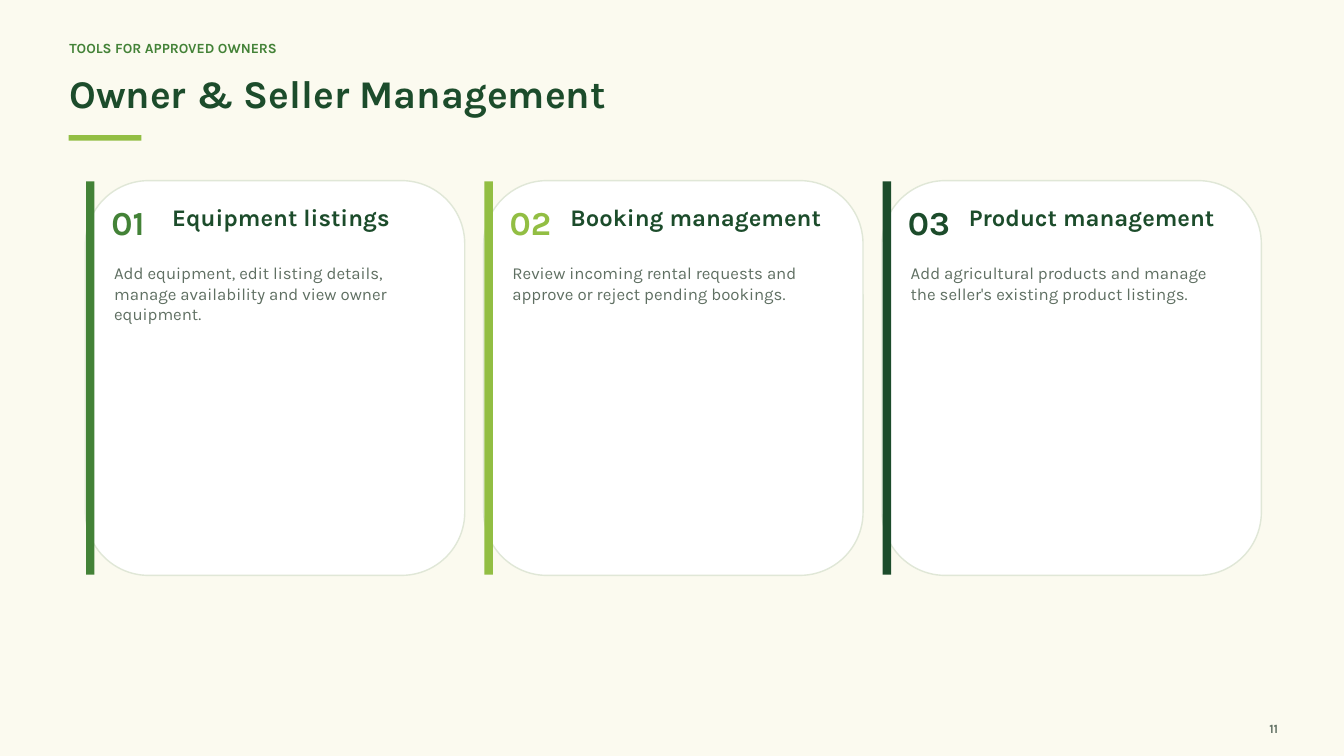
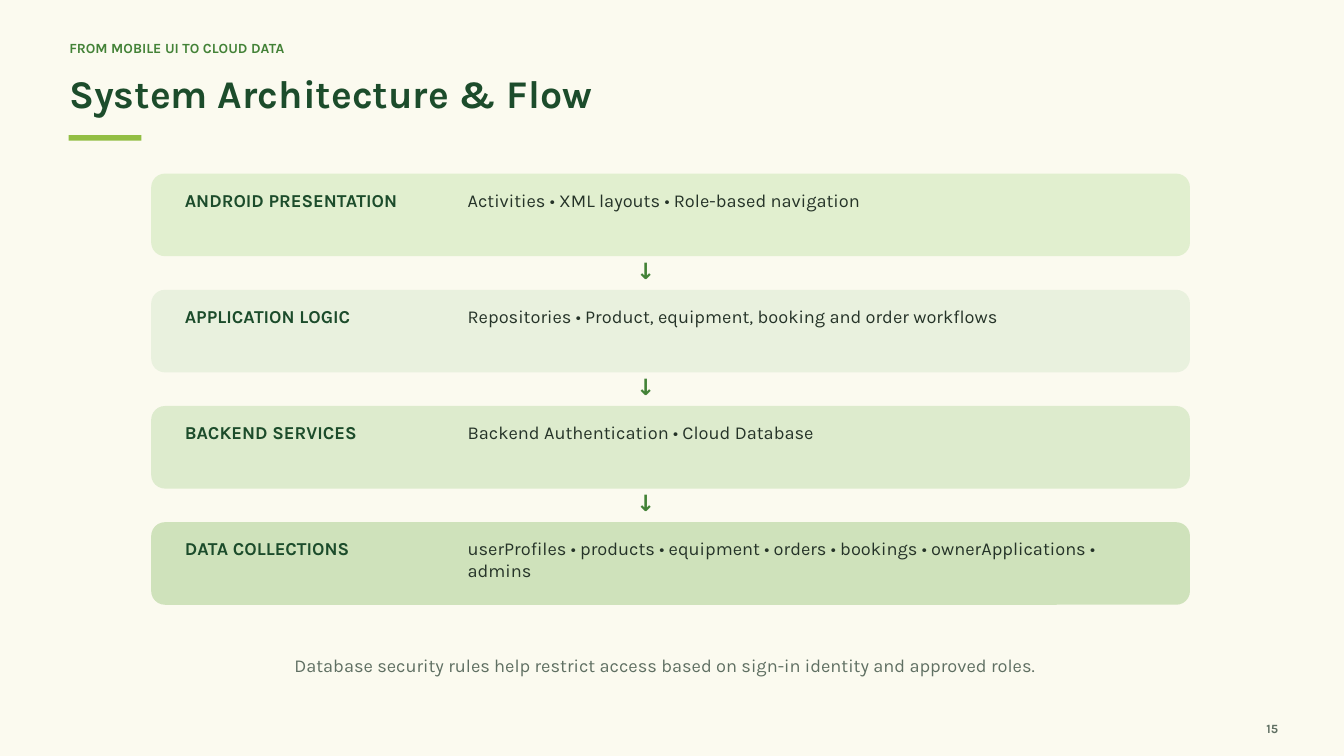
"""Builds the two slides on owner tools and system architecture."""
from dataclasses import dataclass

from pptx import Presentation
from pptx import util as u
from pptx.dml.color import RGBColor
from pptx.enum import shapes, text

PX = 9525
LEFT, CENTER, RIGHT = text.PP_ALIGN.LEFT, text.PP_ALIGN.CENTER, text.PP_ALIGN.RIGHT
RECT = shapes.MSO_SHAPE.RECTANGLE
ROUNDED = shapes.MSO_SHAPE.ROUNDED_RECTANGLE


@dataclass(frozen=True)
class Theme:
    """Colours, font and type sizes shared by the slides."""
    font: str = "Karla"
    paper: str = "FBFAEF"
    white: str = "FFFFFF"
    outline: str = "E0E7D7"
    forest: str = "1C4C2B"
    green: str = "438237"
    lime: str = "92BE43"
    ink: str = "253328"
    muted: str = "5F6F62"
    layers: tuple = ("E1EFCF", "E9F1DE", "DDEBCD", "CFE2BB")
    kicker: float = 15
    title: float = 42
    page: float = 13.5
    number: float = 36
    heading: float = 25.5
    body: float = 18
    layer: float = 19.5
    arrow: float = 24


FRAME = {
    "margin_left": 0, "margin_top": 0, "margin_right": 0, "margin_bottom": 0,
    "word_wrap": True,
    "vertical_anchor": text.MSO_ANCHOR.TOP,
    "auto_size": text.MSO_AUTO_SIZE.SHAPE_TO_FIT_TEXT,
}


def apply(target, values):
    """Set each named attribute of the target."""
    for name, value in values.items():
        setattr(target, name, value)


def px(*lengths):
    """Turn pixel lengths into EMU."""
    return [u.Emu(n * PX) for n in lengths]


class Deck:
    """Holds the theme and the current slide, and draws on it."""

    def __init__(self, theme):
        self.theme = theme
        self.prs = Presentation()
        self.prs.slide_width, self.prs.slide_height = px(1920, 1080)
        fill = self.prs.slide_master.background.fill
        fill.solid()
        fill.fore_color.rgb = RGBColor.from_string(theme.paper)
        self.slide = None

    def add_slide(self, kicker, title, page):
        """Start a slide with its kicker, title, rule and page number."""
        t = self.theme
        self.slide = self.prs.slides.add_slide(self.prs.slide_layouts[5])
        self.label((99, 56, 1691, 31), kicker, t.kicker, t.green, bold=True)
        sp = self.slide.shapes.title
        sp.left, sp.top, sp.width, sp.height = px(99, 99, 1719, 80)
        self.set_text(sp, title, t.title, t.forest, bold=True)
        self.box((98, 193, 104, 8), t.lime)
        self.label((1770, 1030, 56, 20), str(page), t.page, t.muted, True, RIGHT)

    def set_text(self, sp, words, size, color, bold=False, align=LEFT):
        """Fill a shape with one formatted paragraph."""
        tf = sp.text_frame
        apply(tf, FRAME)
        p = tf.paragraphs[0]
        apply(p, {"alignment": align, "line_spacing": u.Pt(size * 1.2)})
        r = p.add_run()
        r.text = words
        apply(r.font, {"name": self.theme.font, "size": u.Pt(size), "bold": bold})
        r.font.color.rgb = RGBColor.from_string(color)

    def label(self, place, words, size, color, bold=False, align=LEFT):
        """Add a text box."""
        sp = self.slide.shapes.add_textbox(*px(*place))
        self.set_text(sp, words, size, color, bold, align)

    def box(self, place, color, kind=RECT, outline=None):
        """Add a filled shape, outlined on request."""
        sp = self.slide.shapes.add_shape(kind, *px(*place))
        sp.shadow.inherit = False
        sp.fill.solid()
        sp.fill.fore_color.rgb = RGBColor.from_string(color)
        if outline:
            sp.line.color.rgb = RGBColor.from_string(outline)
            sp.line.width = u.Pt(1.5)
        else:
            sp.line.fill.background()

    def card(self, x, number, heading, body, accent):
        """Add a numbered card with an accent bar on its left."""
        t = self.theme
        self.box((x, 258, 542, 564), t.white, ROUNDED, t.outline)
        self.box((x + 1, 259, 12, 562), accent)
        self.label((x + 37, 289, 70, 56), f"{number:02}", t.number, accent, True)
        self.label((x + 124, 290, 384, 51), heading, t.heading, t.forest, True)
        self.label((x + 41, 376, 462, 422), body, t.body, t.muted)

    def layer(self, y, name, detail, color):
        """Add one band of the architecture."""
        t = self.theme
        self.box((216, y, 1484, 118), color, ROUNDED)
        self.label((264, y + 22, 379, 34), name, t.layer, t.forest, True)
        self.label((668, y + 22, 971, 56), detail, t.layer, t.ink)

    def arrow(self, y):
        """Add the down arrow between two bands."""
        t = self.theme
        self.label((884, y, 77, 34), "↓", t.arrow, t.green, True, CENTER)


def management(deck):
    """Build the slide on owner and seller tools."""
    t = deck.theme
    deck.add_slide("TOOLS FOR APPROVED OWNERS", "Owner & Seller Management", 11)
    cards = [
        ("Equipment listings", "Add equipment, edit listing details, manage "
         "availability and view owner equipment.", t.green),
        ("Booking management", "Review incoming rental requests and approve "
         "or reject pending bookings.", t.lime),
        ("Product management", "Add agricultural products and manage the "
         "seller's existing product listings.", t.forest),
    ]
    for i, (heading, body, accent) in enumerate(cards):
        deck.card(122 + 569 * i, i + 1, heading, body, accent)


def architecture(deck):
    """Build the slide on the system layers."""
    t = deck.theme
    deck.add_slide("FROM MOBILE UI TO CLOUD DATA", "System Architecture & Flow", 15)
    layers = [
        ("ANDROID PRESENTATION", "Activities • XML layouts • Role-based navigation"),
        ("APPLICATION LOGIC",
         "Repositories • Product, equipment, booking and order workflows"),
        ("BACKEND SERVICES", "Backend Authentication • Cloud Database"),
        ("DATA COLLECTIONS", "userProfiles • products • equipment • orders • "
         "bookings • ownerApplications • admins"),
    ]
    for i, ((name, detail), color) in enumerate(zip(layers, t.layers)):
        y = 248 + 166 * i
        if i:
            deck.arrow(y - 47)
        deck.layer(y, name, detail, color)
    deck.label((235, 934, 1431, 41), "Database security rules help restrict access "
               "based on sign-in identity and approved roles.",
               t.layer, t.muted, align=CENTER)


def main():
    """Build and save the deck."""
    deck = Deck(Theme())
    management(deck)
    architecture(deck)
    deck.prs.save("out.pptx")


if __name__ == "__main__":
    main()
